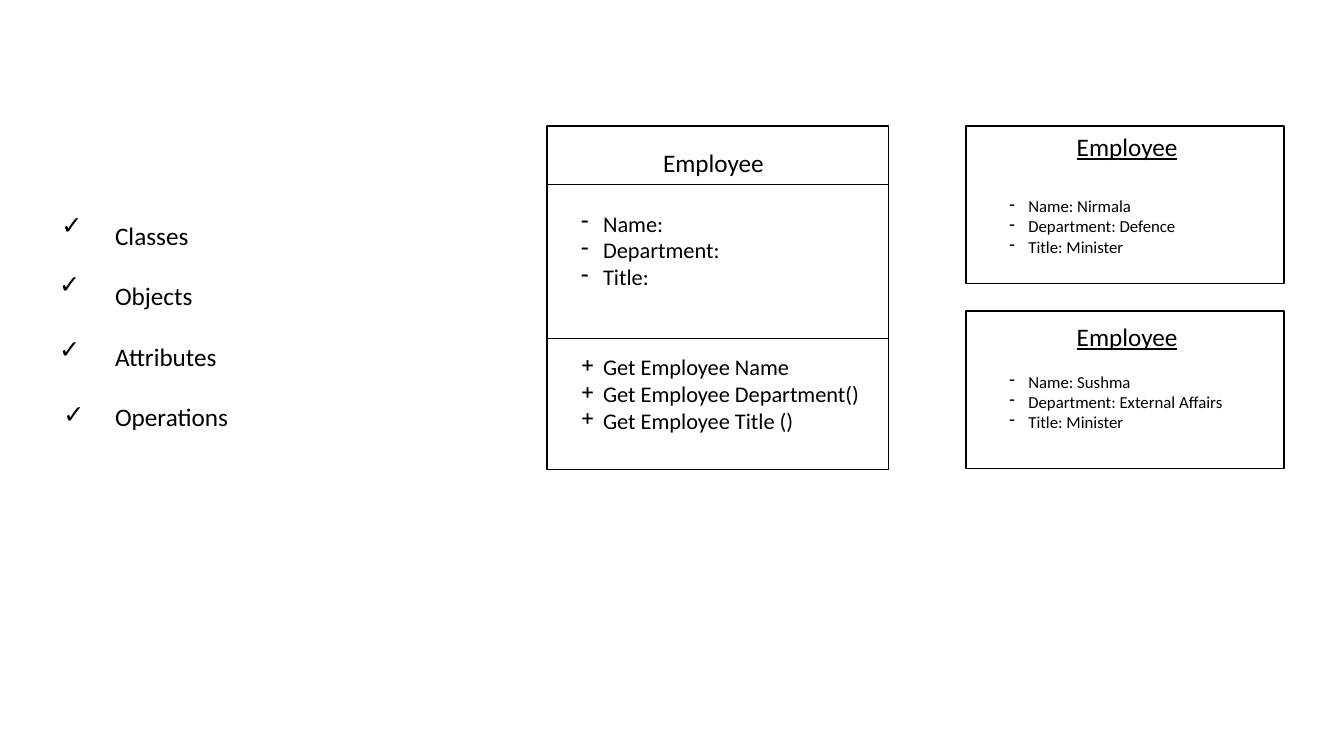
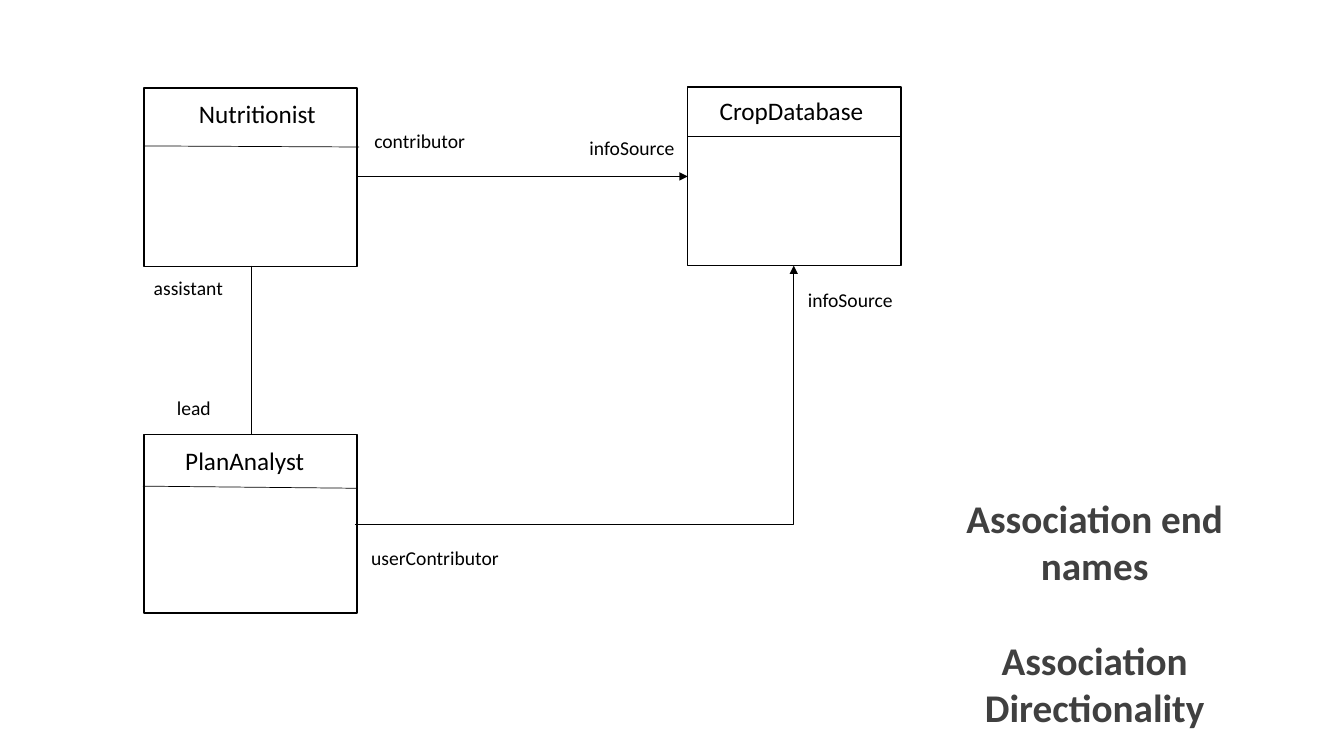
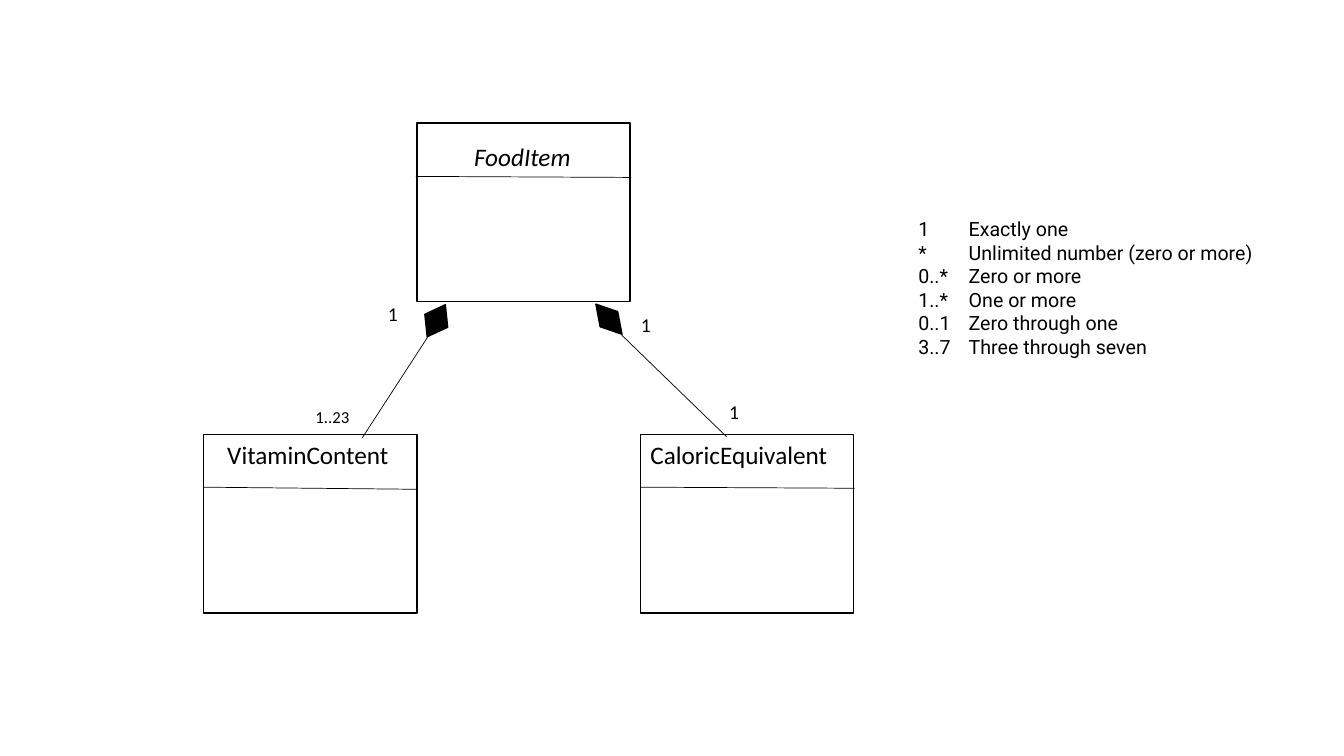
"""Three slides of class diagram notation: classes, associations and multiplicity."""
from lxml.etree import SubElement
from pptx import Presentation
from pptx.dml.color import RGBColor
from pptx.enum.shapes import MSO_CONNECTOR as CONN, MSO_SHAPE as SHAPE
from pptx.enum.text import MSO_ANCHOR as ANCHOR, MSO_AUTO_SIZE as FIT, PP_ALIGN as ALIGN
from pptx.oxml.ns import qn
from pptx.util import Pt

PX = 9525
COLORS = {"ink": "000000", "paper": "FFFFFF", "heading": "404040"}
RGB = {name: RGBColor.from_string(value) for name, value in COLORS.items()}


def write(sp, box, lines, size=18, color="ink", mark=None, indent=0, tab=0,
          spacing=1.0, gap=0, align=ALIGN.LEFT, **font):
    """Place a text shape and fill it with formatted paragraphs."""
    sp.left, sp.top, sp.width, sp.height = [v * PX for v in box]
    tf = sp.text_frame
    tf.word_wrap, tf.auto_size, tf.vertical_anchor = True, FIT.SHAPE_TO_FIT_TEXT, ANCHOR.TOP
    look = {"name": "Calibri", "size": Pt(size), **font}
    for i, line in enumerate(lines):
        p = tf.add_paragraph() if i else tf.paragraphs[0]
        p.alignment, p.line_spacing, p.space_before = align, spacing, Pt(gap if i else 0)
        pPr = p._p.get_or_add_pPr()
        pPr.set("marL", str(indent * PX))
        pPr.set("indent", str(-indent * PX))
        if mark:
            SubElement(pPr, qn("a:buChar"), char=mark)
        else:
            SubElement(pPr, qn("a:buNone"))
        if tab:
            tabs = SubElement(pPr, qn("a:tabLst"))
            SubElement(tabs, qn("a:tab"), pos=str(tab * PX), algn="l")
        r = p.add_run()
        r.text = line
        for key, value in look.items():
            setattr(r.font, key, value)
        r.font.color.rgb = RGB[color]


prs = Presentation()
prs.slide_width, prs.slide_height = 1280 * PX, 720 * PX
classes, links, counts = [prs.slides.add_slide(prs.slide_layouts[i]) for i in (1, 5, 1)]
for s in (classes, counts):
    title = s.shapes.title._element
    title.getparent().remove(title)

write(classes.placeholders[1], (100, 176, 282, 242),
      ["Classes", "Objects", "Attributes", "Operations"], spacing=2.0)
write(links.shapes.title, (899, 466, 287, 236),
      ["Association end names", "Association Directionality"],
      size=28, color="heading", gap=34, align=ALIGN.CENTER, bold=True)
write(counts.placeholders[1], (865, 202, 396, 145),
      ["1\tExactly one", "*\tUnlimited number (zero or more)", "0..*\tZero or more",
       "1..*\tOne or more", "0..1\tZero through one", "3..7\tThree through seven"],
      size=14, tab=42, name="Roboto")

shapes = [(classes, SHAPE.RECTANGLE, (521, 120, 325, 327), "paper", 0)]
shapes += [(classes, SHAPE.RECTANGLE, (920, y, 303, 150), "paper", 0) for y in (120, 296)]
shapes += [(s, SHAPE.RECTANGLE, (x, y, 203, 170), "paper", 0) for s, x, y in (
    (links, 137, 84), (links, 655, 83), (links, 137, 414),
    (counts, 397, 117), (counts, 194, 414), (counts, 610, 414))]
shapes += [(counts, SHAPE.FLOWCHART_DECISION, (403, 288, 25, 35), "ink", 29.5),
           (counts, SHAPE.FLOWCHART_DECISION, (569, 285, 22, 38), "ink", 319)]
for s, kind, box, fill, angle in shapes:
    sp = s.shapes.add_shape(kind, *[v * PX for v in box])
    sp.rotation = angle
    sp.shadow.inherit = False
    sp.fill.solid()
    sp.fill.fore_color.rgb = RGB[fill]
    sp.line.color.rgb = RGB["ink"]
    sp.line.width = Pt(1)

lines = [
    (classes, (521, 176, 846, 176), False), (classes, (521, 322, 846, 322), False),
    (links, (137, 139, 342, 140), False), (links, (136, 463, 339, 465), False),
    (links, (655, 130, 857, 130), False), (links, (239, 253, 239, 414), False),
    (links, (340, 168, 655, 168), True), (links, (338, 499, 756, 253), True),
    (counts, (396, 168, 601, 169), False), (counts, (194, 464, 396, 466), False),
    (counts, (610, 464, 814, 465), False), (counts, (408, 320, 345, 417), False),
    (counts, (592, 319, 692, 416), False),
]
for s, ends, arrow in lines:
    bent = arrow and ends[1] != ends[3]
    c = s.shapes.add_connector(CONN.ELBOW if bent else CONN.STRAIGHT, *[v * PX for v in ends])
    c.line.color.rgb = RGB["ink"]
    c.line.width = Pt(0.5)
    spPr = c._element.spPr
    if bent:
        spPr.find(qn("a:prstGeom")).set("prst", "bentConnector2")
    if arrow:
        SubElement(spPr.find(qn("a:ln")), qn("a:tailEnd"), type="triangle")
    SubElement(spPr, qn("a:effectLst"))

texts = [(classes, (x, y, 53, 38), ["✓"], {})
         for x, y in ((49, 195), (47, 251), (47, 313), (51, 375))]
texts += [
    (classes, (622, 136, 237, 38), ["Employee"], {}),
    (classes, (544, 195, 223, 87), ["Name:", "Department:", "Title:"],
     {"size": 16, "mark": "-", "indent": 21}),
    (classes, (544, 332, 302, 87),
     ["Get Employee Name", "Get Employee Department()", "Get Employee Title ()"],
     {"size": 16, "mark": "+", "indent": 21}),
]
for top, detail_top, name, department in (
        (120, 182, "Nirmala", "Defence"), (301, 349, "Sushma", "External Affairs")):
    texts += [
        (classes, (1016, top, 163, 38), ["Employee"], {"underline": True}),
        (classes, (952, detail_top, 226, 68),
         [f"Name: {name}", f"Department: {department}", "Title: Minister"],
         {"size": 12, "mark": "-", "indent": 18}),
    ]
texts += [(s, (x, y, w, 38), [name], font) for s, x, y, w, name, font in (
    (links, 180, 89, 150, "Nutritionist", {}),
    (links, 676, 86, 175, "CropDatabase", {}),
    (links, 167, 419, 188, "PlanAnalyst", {}),
    (counts, 442, 130, 150, "FoodItem", {"italic": True}),
    (counts, 207, 414, 188, "VitaminContent", {}),
    (counts, 610, 414, 193, "CaloricEquivalent", {}))]
texts += [(s, (x, y, w, 33), [label], {"size": size}) for s, x, y, w, label, size in (
    (links, 347, 118, 119, "contributor", 14),
    (links, 760, 269, 105, "infoSource", 14),
    (links, 552, 125, 105, "infoSource", 14),
    (links, 344, 515, 160, "userContributor", 14),
    (links, 137, 258, 105, "assistant", 14),
    (links, 159, 372, 83, "lead", 14),
    (counts, 291, 383, 54, "1..23", 12),
    (counts, 360, 283, 24, "1", 14),
    (counts, 685, 376, 24, "1", 14),
    (counts, 601, 293, 24, "1", 14))]
for s, box, content, style in texts:
    write(s.shapes.add_textbox(0, 0, 0, 0), box, content, **style)

prs.save("out.pptx")
